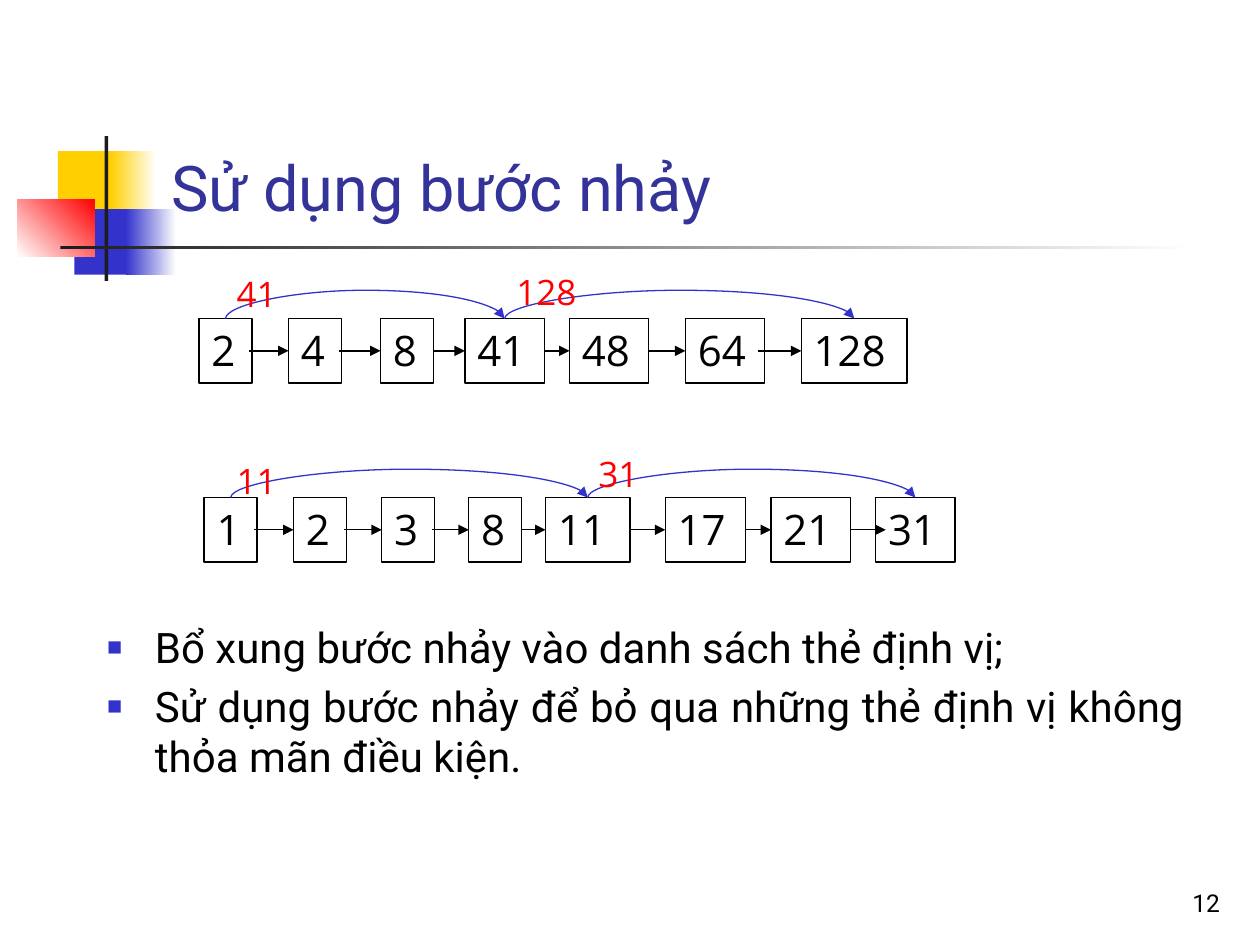
from lxml import etree
from pptx import Presentation
from pptx import util as u
from pptx.dml.color import RGBColor
from pptx.enum import shapes, text
from pptx.oxml.ns import qn

Inches, Pt = u.Inches, u.Pt
BLACK, BLUE, RED, YELLOW, WHITE = "000000", "3333CC", "FF0000", "FFCF01", "FFFFFF"
BOX_H, ARC_H = 0.51, 0.25
THIN = 1588  # EMU: thickness of a curved connector's frame


def rgb(value):
    return RGBColor.from_string(value)


def add_run(p, content, size, color, font):
    r = p.add_run()
    r.text = content
    r.font.size, r.font.name = Pt(size), font
    r.font.color.rgb = rgb(color)


def place(sp, left, top, width, height):
    sp.left, sp.top = Inches(left), Inches(top)
    sp.width, sp.height = Inches(width), Inches(height)


def add_text(slide, box, content, size, color, font="Open Sans"):
    sp = slide.shapes.add_textbox(*map(Inches, box))
    add_run(sp.text_frame.paragraphs[0], content, size, color, font)
    return sp


def style_line(line, color):
    """Thin connector with an arrowhead at its end and no shadow."""
    line.line.color.rgb = rgb(color)
    line.line.width = Pt(0.75)
    ln = line.line._get_or_add_ln()
    etree.SubElement(ln, qn("a:tailEnd"), type="triangle")
    etree.SubElement(line._element.spPr, qn("a:effectLst"))


def add_decoration(slide):
    """Coloured blocks and rules, kept behind the title."""
    parts = [  # box, first colour, last colour, angle
        ((0.46, 1.2, 0.48, 0.52), YELLOW, None, 0),
        ((0.88, 1.2, 0.36, 0.52), YELLOW, WHITE, 0),
        ((0.59, 1.66, 0.46, 0.52), BLUE, None, 0),
        ((1, 1.66, 0.4, 0.52), BLUE, WHITE, 0),
        ((0.14, 1.58, 0.61, 0.46), WHITE, RED, 45),
        ((0.83, 1.08, 0.03, 1.15), "1C1C1C", None, 0),
        ((0.48, 1.95, 9, 0.03), "1C1C1C", WHITE, 0),
    ]
    for i, (box, first, last, angle) in enumerate(parts):
        sp = slide.shapes.add_shape(shapes.MSO_SHAPE.RECTANGLE, *map(Inches, box))
        sp.shadow.inherit = False
        sp.line.fill.background()
        if last:
            sp.fill.gradient()
            sp.fill.gradient_angle = angle
            for stop, color in zip(sp.fill.gradient_stops, (first, last)):
                stop.color.rgb = rgb(color)
        else:
            sp.fill.solid()
            sp.fill.fore_color.rgb = rgb(first)
        slide.shapes._spTree.insert(2 + i, sp._element)


def add_title(slide, box, content):
    sp = slide.shapes.title
    place(sp, *box)
    tf = sp.text_frame
    tf.vertical_anchor = text.MSO_ANCHOR.BOTTOM
    tf.auto_size = text.MSO_AUTO_SIZE.NONE
    p = tf.paragraphs[0]
    p.alignment = text.PP_ALIGN.LEFT
    add_run(p, content, 36, "333399", "Roboto")


def add_bullets(slide, box, items):
    sp = slide.placeholders[1]
    place(sp, *box)
    tf = sp.text_frame
    tf.auto_size = text.MSO_AUTO_SIZE.NONE
    for i, item in enumerate(items):
        p = tf.add_paragraph() if i else tf.paragraphs[0]
        pPr = p._p.get_or_add_pPr()
        pPr.set("marL", str(Inches(0.38)))
        pPr.set("indent", str(Inches(-0.38)))
        color = etree.SubElement(pPr, qn("a:buClr"))
        etree.SubElement(color, qn("a:srgbClr"), val=BLUE)
        etree.SubElement(pPr, qn("a:buSzPct"), val="60000")
        etree.SubElement(pPr, qn("a:buFont"), typeface="Arial")
        etree.SubElement(pPr, qn("a:buChar"), char="■")
        p.alignment = text.PP_ALIGN.JUSTIFY
        p.space_before = Pt(5 if i else 0)
        add_run(p, item, 24, BLACK, "Roboto")


def add_node(slide, box, label):
    sp = slide.shapes.add_shape(shapes.MSO_SHAPE.RECTANGLE, *map(Inches, box))
    sp.shadow.inherit = False
    sp.fill.background()
    sp.line.color.rgb = rgb(BLACK)
    sp.line.width = Pt(0.75)
    tf = sp.text_frame
    tf.word_wrap = False
    tf.auto_size = text.MSO_AUTO_SIZE.SHAPE_TO_FIT_TEXT
    tf.vertical_anchor = text.MSO_ANCHOR.TOP
    p = tf.paragraphs[0]
    p.alignment = text.PP_ALIGN.LEFT
    add_run(p, label, 24, BLACK, "Open Sans")
    return sp


def add_arc(slide, x1, x2, y):
    """Curve that rises above y: a thin frame turned by 90 degrees."""
    span = Inches(x2 - x1)
    line = slide.shapes.add_connector(shapes.MSO_CONNECTOR.CURVE, 0, 0, THIN, span)
    line.left = Inches((x1 + x2) / 2) - THIN // 2
    line.top = Inches(y) - span // 2
    xfrm = line._element.spPr.find(qn("a:xfrm"))
    for key, value in (("rot", "5400000"), ("flipH", "1"), ("flipV", "1")):
        xfrm.set(key, value)
    geom = line._element.spPr.find(qn("a:prstGeom"))
    guides = geom.find(qn("a:avLst"))
    if guides is None:
        guides = etree.SubElement(geom, qn("a:avLst"))
    ratio = round(Inches(ARC_H) / THIN * 100000)
    etree.SubElement(guides, qn("a:gd"), name="adj1", fmla=f"val {ratio}")
    style_line(line, BLUE)


def add_posting_list(slide, top, nodes, skips, labels, overshoot=0):
    """Row of linked nodes; an inset moves an arrow's start into its node."""
    boxes = [add_node(slide, (left, top, width, BOX_H), label)
             for label, left, width, _ in nodes]
    # Links between neighbours
    mid = Inches(top + BOX_H / 2)
    for i, (_, left, width, inset) in enumerate(nodes[:-1]):
        last = i == len(nodes) - 2
        end = nodes[i + 1][1] + (overshoot if last else 0)
        line = slide.shapes.add_connector(
            shapes.MSO_CONNECTOR.STRAIGHT,
            Inches(left + width - inset), mid, Inches(end), mid)
        if not inset:
            line.begin_connect(boxes[i], 3)
        if not (last and overshoot):
            line.end_connect(boxes[i + 1], 1)
        style_line(line, BLACK)
    # Skip pointers between the node centres
    centers = [nodes[i][1] + nodes[i][2] / 2 for i in skips]
    for x1, x2 in zip(centers, centers[1:]):
        add_arc(slide, x1, x2, top)
    for label, left, label_top, width in labels:
        sp = add_text(slide, (left, label_top, width, 0.43), label, 20, RED)
        sp.text_frame.word_wrap = False


def main():
    prs = Presentation()
    prs.slide_width, prs.slide_height = Inches(10), Inches(7.5)
    slide = prs.slides.add_slide(prs.slide_layouts[1])
    add_decoration(slide)
    add_title(slide, (1.26, 0.23, 8.52, 1.6), "Sử dụng bước nhảy")
    add_bullets(slide, (0.75, 4.88, 8.75, 2.29), [
        "Bổ xung bước nhảy vào danh sách thẻ định vị;",
        "Sử dụng bước nhảy để bỏ qua những thẻ định vị không thỏa mãn điều kiện.",
    ])
    # Nodes: label, left, width, inset of the outgoing arrow
    add_posting_list(slide, 2.53, [
        ("2", 1.58, 0.42, 0.02), ("4", 2.29, 0.42, 0.02), ("8", 3.02, 0.42, 0),
        ("41", 3.69, 0.63, 0), ("48", 4.52, 0.63, 0), ("64", 5.44, 0.63, 0.05),
        ("128", 6.36, 0.84, 0),
    ], (0, 3, 6), [("41", 1.78, 2.11, 0.55), ("128", 4, 2.1, 0.73)])
    add_posting_list(slide, 3.95, [
        ("1", 1.62, 0.42, 0.02), ("2", 2.33, 0.42, 0.02), ("3", 3.03, 0.42, 0.02),
        ("8", 3.72, 0.42, 0), ("11", 4.33, 0.67, 0), ("17", 5.28, 0.64, 0),
        ("21", 6.12, 0.63, 0), ("31", 6.95, 0.63, 0),
    ], (0, 4, 7), [("11", 1.78, 3.6, 0.55), ("31", 4.65, 3.54, 0.55)], 0.08)
    # Slide number
    number = add_text(slide, (7.7, 6.83, 2.08, 0.5), "12", 14, BLACK, "Roboto")
    number.text_frame.word_wrap = True
    number.text_frame.vertical_anchor = text.MSO_ANCHOR.BOTTOM
    number.text_frame.paragraphs[0].alignment = text.PP_ALIGN.RIGHT
    prs.save("out.pptx")


if __name__ == "__main__":
    main()
